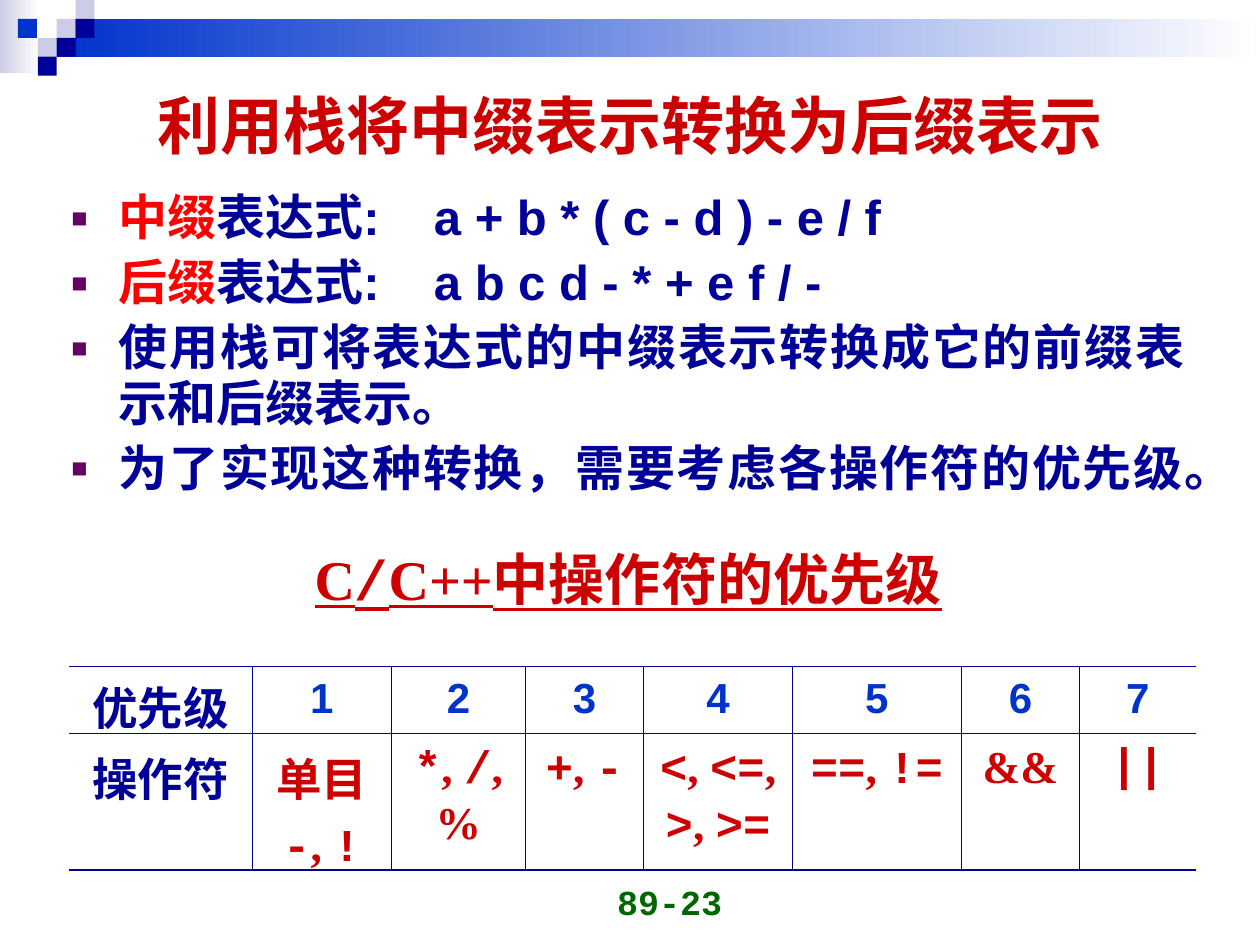
"""Builds a slide on turning infix expressions into postfix with a stack."""
from lxml import etree
from pptx import Presentation
from pptx import util as u
from pptx.dml.color import RGBColor
from pptx.enum import shapes, text
from pptx.oxml import ns

Pt = u.Pt
NAVY = RGBColor(0x00, 0x00, 0x99)
BLUE = RGBColor(0x00, 0x33, 0xCC)
LAVENDER = RGBColor(0xCC, 0xCC, 0xE6)
WHITE = RGBColor(0xFF, 0xFF, 0xFF)
CRIMSON = RGBColor(0xCC, 0x00, 0x00)
RED = RGBColor(0xFF, 0x00, 0x00)
GREEN = RGBColor(0x00, 0x66, 0x00)
PURPLE = RGBColor(0x66, 0x00, 0x66)
SANS, SERIF, MONO = "Arial", "Times New Roman", "Courier New"
CENTER = text.PP_ALIGN.CENTER


def write(para, spans, size, align=CENTER, underline=None):
    para.alignment = align
    for words, font, color in spans:
        span = para.add_run()
        span.text = words
        span.font.name = font
        span.font.size = Pt(size)
        span.font.bold = True
        span.font.underline = underline
        span.font.color.rgb = color


def add_xml(parent, tag, **attributes):
    return etree.SubElement(parent, ns.qn(tag), attributes)


deck = Presentation()
deck.slide_width, deck.slide_height = Pt(720), Pt(540)
page = deck.slides.add_slide(deck.slide_layouts[6])

unit = 10.8
blocks = [
    (0, 0, 22.3, 41.8, LAVENDER, True),
    (32.4, unit, 687.6, 21.6, BLUE, True),
]
for column, row, color in [(3, 1, LAVENDER), (4, 0, LAVENDER), (4, 1, NAVY), (2, 2, LAVENDER),
                           (0.95, 1, BLUE), (3, 2, NAVY), (2, 3, NAVY)]:
    blocks.append((column * unit, row * unit, unit, unit, color, False))
for left, top, width, height, color, fades in blocks:
    block = page.shapes.add_shape(shapes.MSO_SHAPE.RECTANGLE, Pt(left), Pt(top), Pt(width), Pt(height))
    block.shadow.inherit = False
    block.line.fill.background()
    if fades:
        block.fill.gradient()
        block.fill.gradient_angle = 0
        for stop, position, shade in zip(block.fill.gradient_stops, (0, 1), (color, WHITE)):
            stop.position = position
            stop.color.rgb = shade
    else:
        block.fill.solid()
        block.fill.fore_color.rgb = color

frames = []
for left, top, width, height, anchor in [
    (252, 494.6, 167.8, 36, text.MSO_ANCHOR.BOTTOM),
    (36, 36, 648, 69.8, text.MSO_ANCHOR.MIDDLE),
    (33.8, 105.8, 650.2, 263.5, text.MSO_ANCHOR.TOP),
]:
    frame = page.shapes.add_textbox(Pt(left), Pt(top), Pt(width), Pt(height)).text_frame
    frame.word_wrap = True
    frame.vertical_anchor = anchor
    frames.append(frame)
number, title, body = frames
write(number.paragraphs[0], [("89-23", MONO, GREEN)], 20, text.PP_ALIGN.RIGHT)
write(title.paragraphs[0], [("利用栈将中缀表示转换为后缀表示", SANS, CRIMSON)], 36)

points = [
    [("中缀", SANS, RED), ("表达式:    a + b * ( c - d ) - e / f", SANS, NAVY)],
    [("后缀", SANS, RED), ("表达式:    a b c d - * + e f / -", SANS, NAVY)],
    [("使用栈可将表达式的中缀表示转换成它的前缀表示和后缀表示。", SANS, NAVY)],
    [("为了实现这种转换，需要考虑各操作符的优先级。", SANS, NAVY)],
]
for index, spans in enumerate(points):
    para = body.paragraphs[0] if index == 0 else body.add_paragraph()
    para.line_spacing = 0.95
    para.space_before = Pt(5.2 if index else 0)
    props = para._p.get_or_add_pPr()
    props.set("marL", str(Pt(27)))
    props.set("indent", str(-Pt(27)))
    add_xml(add_xml(props, "a:buClr"), "a:srgbClr", val=str(PURPLE))
    add_xml(props, "a:buSzPct", val="55000")
    add_xml(props, "a:buFont", typeface=SANS)
    add_xml(props, "a:buChar", char="■")
    write(para, spans, 28, text.PP_ALIGN.JUSTIFY)

caption = body.add_paragraph()
caption.line_spacing = 0.95
caption.space_before = Pt(29.5)
write(caption, [("C", SERIF, CRIMSON), ("/", MONO, CRIMSON), ("C++中操作符的优先级", SERIF, CRIMSON)],
      32, underline=True)

widths = [104.4, 79.9, 76.3, 67.7, 85, 96.5, 67.7, 66.2]
heights = [38.2, 77.8]
rows = [
    ["优先级", "1", "2", "3", "4", "5", "6", "7"],
    ["操作符", "单目\n-, !", "*, /, %", "+, -", "<, <=, >, >=", "==, !=", "&&", "||"],
]
serif_words = ("单目", "%", "&&")
table = page.shapes.add_table(2, 8, Pt(39.6), Pt(380.9), Pt(sum(widths)), Pt(sum(heights))).table
table.first_row = table.horz_banding = False
for column, width in zip(table.columns, widths):
    column.width = Pt(width)
for r, (row, height) in enumerate(zip(rows, heights)):
    table.rows[r].height = Pt(height)
    for c, content in enumerate(row):
        cell = table.cell(r, c)
        props = cell._tc.get_or_add_tcPr()
        for tag, weight in [("a:lnL", 0.45 if c > 0 else 0), ("a:lnR", 0.45 if c < 7 else 0),
                            ("a:lnT", 0.45 if r else 1.08), ("a:lnB", 1.08 if r else 0.45)]:
            line = add_xml(props, tag, w=str(Pt(weight)))
            if weight:
                add_xml(add_xml(line, "a:solidFill"), "a:srgbClr", val=str(NAVY))
            else:
                add_xml(line, "a:noFill")
        cell.fill.background()
        for index, words in enumerate(content.split("\n")):
            para = cell.text_frame.add_paragraph() if index else cell.text_frame.paragraphs[0]
            para.line_spacing = 1.05 if r or c else 1.0
            para.space_before = Pt(4.9 if index else 0)
            if c == 0:
                spans = [(words, SANS, NAVY)]
            elif r == 0:
                spans = [(words, SANS, BLUE)]
            else:
                spans = []
                for symbol in words.split(", "):
                    if spans:
                        spans.append((", ", SERIF, CRIMSON))
                    spans.append((symbol, SERIF if symbol in serif_words else MONO, CRIMSON))
            write(para, spans, 26 if r or c == 0 else 24)

deck.save("out.pptx")
